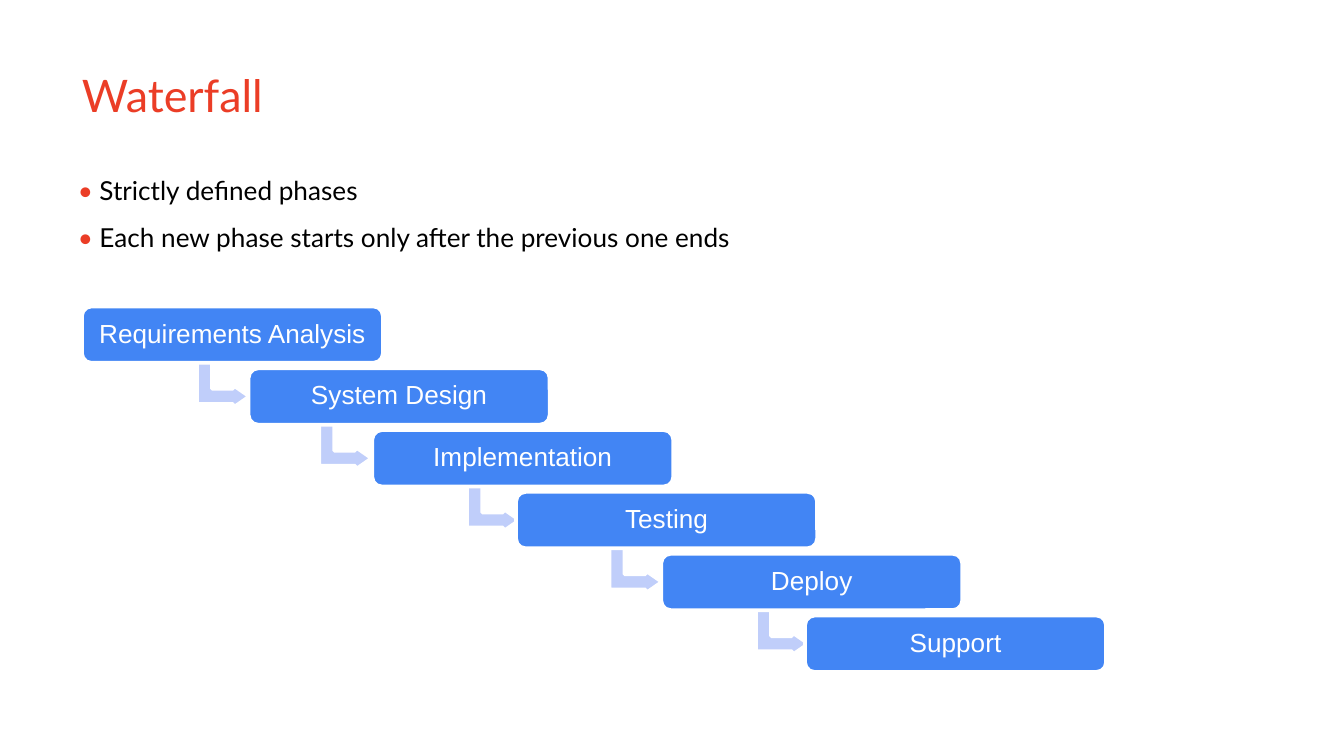
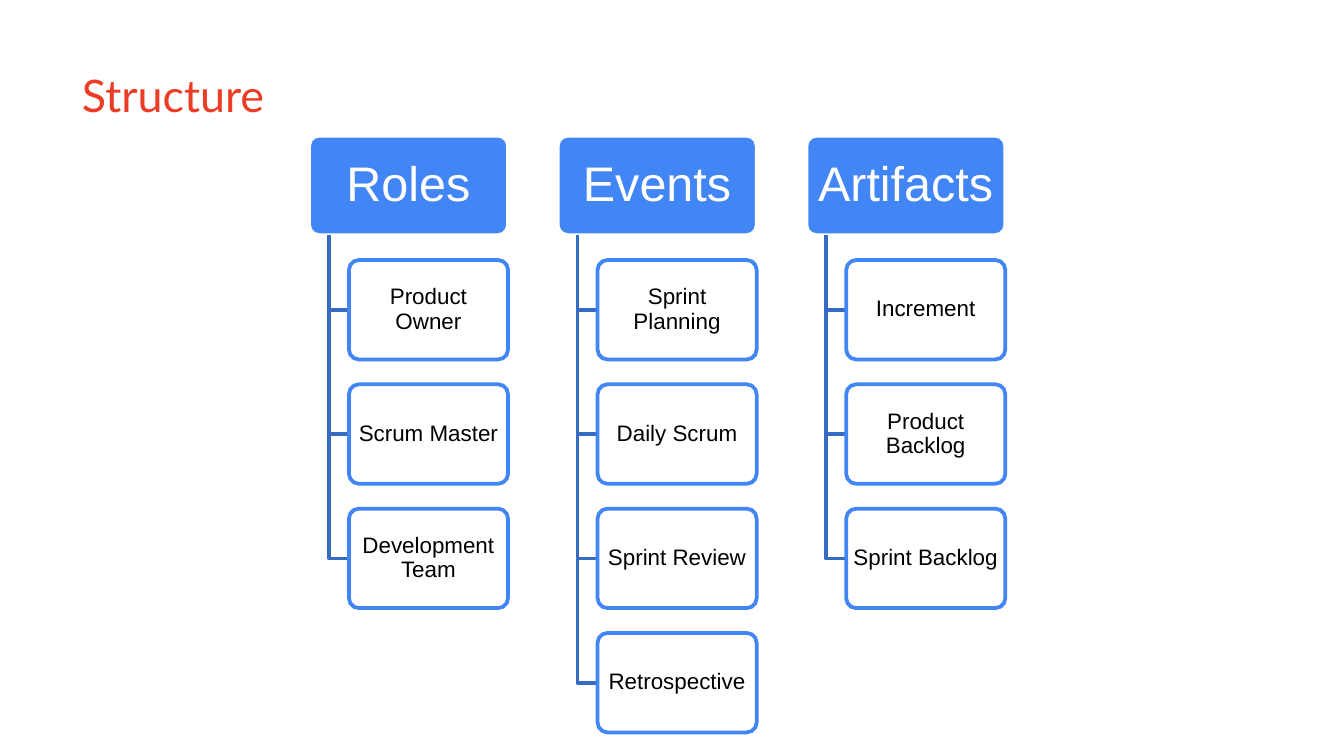
from dataclasses import dataclass

from lxml import etree
from pptx import Presentation, util as u
from pptx.dml.color import RGBColor
from pptx.enum import shapes, text
from pptx.oxml.ns import qn

# Content
FALL = {
    "title": "Waterfall",
    "points": [
        "Strictly defined phases",
        "Each new phase starts only after the previous one ends",
    ],
    # phase, left edge, left edge of the arrow to the next phase
    "steps": [
        ("Requirements Analysis", 0.61, 1.49),
        ("System Design", 1.85, 2.4),
        ("Implementation", 2.77, 3.5),
        ("Testing", 3.84, 4.56),
        ("Deploy", 4.92, 5.65),
        ("Support", 5.99, None),
    ],
}
TREE = {
    "title": "Structure",
    "groups": {
        "Roles": ["Product Owner", "Scrum Master", "Development Team"],
        "Events": ["Sprint Planning", "Daily Scrum", "Sprint Review",
                   "Retrospective"],
        "Artifacts": ["Increment", "Product Backlog", "Sprint Backlog"],
    },
}


@dataclass(frozen=True)
class Theme:
    red: str = "EB3D26"
    blue: str = "4285F4"
    navy: str = "356BC3"
    pale: str = "C0CEFA"
    white: str = "FFFFFF"
    black: str = "000000"
    head: str = "Lato"
    font: str = "Arial"
    title: int = 24
    body: int = 14
    top: int = 26
    leaf: int = 12
    line: int = 2


T = Theme()
ROUND = shapes.MSO_SHAPE.ROUNDED_RECTANGLE
BENT = shapes.MSO_SHAPE.BENT_UP_ARROW


def rgb(code):
    return RGBColor.from_string(code)


def write(shape, lines, size, color, font=T.font, align=text.PP_ALIGN.CENTER,
          anchor=text.MSO_ANCHOR.MIDDLE, inset=(0, 0, 0, 0), space=0.9):
    """Fill a shape with paragraphs; inset is left, top, right, bottom."""
    frame = shape.text_frame
    frame.word_wrap = True
    frame.auto_size = text.MSO_AUTO_SIZE.NONE
    frame.vertical_anchor = anchor
    (frame.margin_left, frame.margin_top,
     frame.margin_right, frame.margin_bottom) = map(u.Inches, inset)
    frame.text = "\n".join(lines)
    for para in frame.paragraphs:
        para.alignment = align
        para.line_spacing = space
        para.space_before = para.space_after = u.Pt(0)
        for run in para.runs:
            run.font.size = u.Pt(size)
            run.font.name = font
            run.font.color.rgb = rgb(color)


def place(shape, left, top, wide, high):
    shape.left, shape.top = u.Inches(left), u.Inches(top)
    shape.width, shape.height = u.Inches(wide), u.Inches(high)


def bullet(para, color, indent):
    props = para._p.get_or_add_pPr()
    props.set("marL", str(u.Inches(indent)))
    props.set("indent", str(-u.Inches(indent)))
    tint = etree.SubElement(props, qn("a:buClr"))
    etree.SubElement(tint, qn("a:srgbClr"), val=color)
    etree.SubElement(props, qn("a:buFont"), typeface=T.head)
    etree.SubElement(props, qn("a:buChar"), char="•")


def stroke(shape, color):
    shape.shadow.inherit = False
    shape.line.color.rgb = rgb(color)
    shape.line.width = u.Pt(T.line)


def draw(slide, kind, area, fill, line, adjust, alpha=None):
    shape = slide.shapes.add_shape(kind, *map(u.Inches, area))
    shape.fill.solid()
    shape.fill.fore_color.rgb = rgb(fill)
    if alpha:
        tint = shape._element.spPr.find(qn("a:solidFill"))[0]
        etree.SubElement(tint, qn("a:alpha"), val=str(alpha * 1000))
    stroke(shape, line)
    for i, part in enumerate(adjust):
        shape.adjustments[i] = part
    return shape


def elbow(slide, left, top, right, low):
    """Line that runs down from (left, top), then across to (right, low)."""
    x, y, end, base = map(u.Inches, (left, top, right, low))
    path = slide.shapes.build_freeform(x, y)
    path.add_line_segments([(x, base), (end, base)], close=False)
    shape = path.convert_to_shape()
    shape.fill.background()
    stroke(shape, T.navy)


def start(deck, layout, title):
    slide = deck.slides.add_slide(deck.slide_layouts[layout])
    slide.background.fill.solid()
    slide.background.fill.fore_color.rgb = rgb(T.white)
    head = slide.shapes.title
    place(head, 0.61, 0.4, 2.26, 0.61)
    write(head, [title], T.title, T.red, font=T.head, space=1,
          align=text.PP_ALIGN.LEFT, anchor=text.MSO_ANCHOR.TOP,
          inset=(0, 0.1, 0, 0.1))
    return slide


def cascade(deck):
    slide = start(deck, 1, FALL["title"])
    body = slide.placeholders[1]
    place(body, 0.58, 1.08, 8.02, 0.91)
    write(body, FALL["points"], T.body, T.black, font=T.head, space=1.5,
          align=text.PP_ALIGN.LEFT, anchor=text.MSO_ANCHOR.TOP,
          inset=(0, 0.1, 0.1, 0.1))
    for para in body.text_frame.paragraphs:
        bullet(para, T.red, 0.16)

    first, pitch, drop = 2.28, 0.46, 0.39
    for row, (name, left, turn) in enumerate(FALL["steps"]):
        top = first + row * pitch
        if turn is not None:
            arrow = draw(slide, BENT, (turn, top + drop, 0.34, 0.39),
                         T.pale, T.white, (0.33, 0.25, 0.36))
            arrow.rotation = 90
        box = draw(slide, ROUND, (left, top, 2.24, 0.42),
                   T.blue, T.white, [0.17])
        write(box, [name], T.body, T.white, inset=[0.06] * 4)


def columns(deck):
    slide = start(deck, 5, TREE["title"])
    first, top, high = 2.3, 1.01, 0.74
    wide, pitch = 2 * high, 1.25  # pitch: a box plus a quarter as gap
    for col, (name, leaves) in enumerate(TREE["groups"].items()):
        left = first + col * wide * pitch
        box = draw(slide, ROUND, (left, top, wide, high),
                   T.blue, T.white, [0.1])
        write(box, [name], T.top, T.white, inset=(0.05, 0.04, 0.05, 0.04))
        trunk, edge = left + 0.1 * wide, left + 0.2 * wide
        for row, leaf in enumerate(leaves, 1):
            y = top + row * high * pitch
            elbow(slide, trunk, top + high, edge, y + high / 2)
            box = draw(slide, ROUND, (edge, y, 0.8 * wide, high),
                       T.white, T.blue, [0.1], alpha=90)
            write(box, [leaf], T.leaf, T.black, inset=[0.02] * 4)


def main():
    deck = Presentation()
    deck.slide_width = u.Inches(10)
    deck.slide_height = deck.slide_width * 9 // 16
    cascade(deck)
    columns(deck)
    deck.save("out.pptx")


if __name__ == "__main__":
    main()
